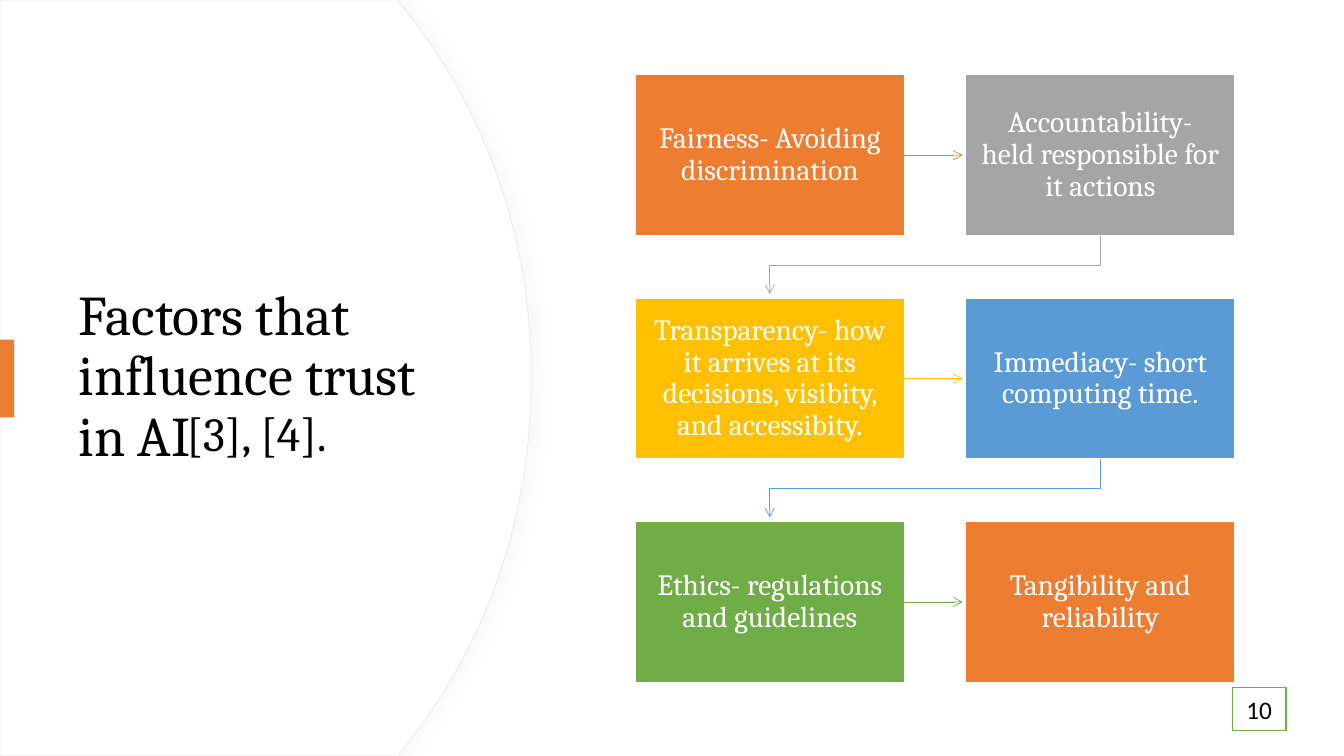
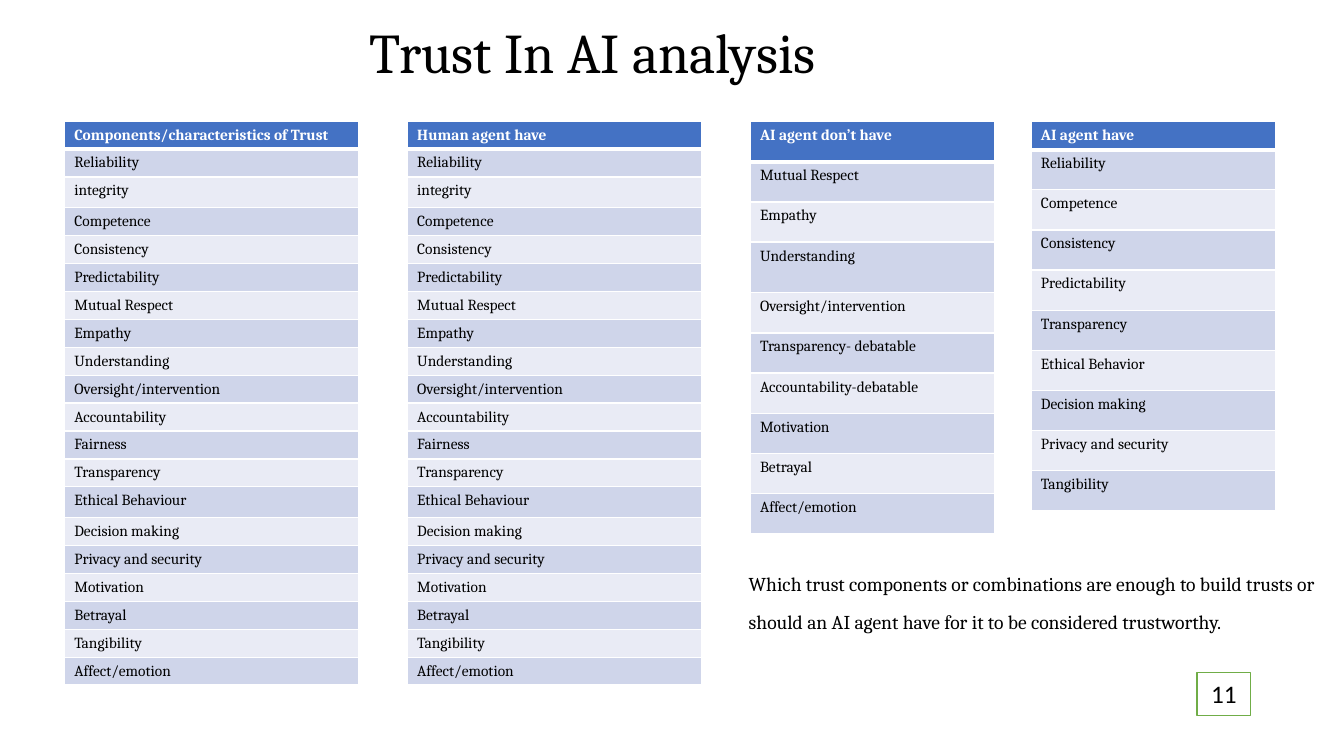
from lxml import etree
from pptx import Presentation
from pptx.dml.color import RGBColor
from pptx.enum.shapes import MSO_CONNECTOR, MSO_SHAPE
from pptx.enum.text import MSO_ANCHOR, MSO_AUTO_SIZE, PP_ALIGN
from pptx.oxml import parse_xml
from pptx.oxml.ns import nsdecls, qn
from pptx.util import Cm, Pt

RECT = MSO_SHAPE.RECTANGLE
STRAIGHT, ELBOW = MSO_CONNECTOR.STRAIGHT, MSO_CONNECTOR.ELBOW
TOP, MIDDLE = MSO_ANCHOR.TOP, MSO_ANCHOR.MIDDLE
LEFT, CENTER = PP_ALIGN.LEFT, PP_ALIGN.CENTER
FIXED = MSO_AUTO_SIZE.NONE
TITLE_ONLY = 5

WHITE, BLACK = "FFFFFF", "000000"
ORANGE, GRAY, GOLD = "ED7D31", "A5A5A5", "FFC000"
SKY, GREEN = "5B9BD5", "70AD47"
HEAD, BANDS = "4472C4", ("CFD5EA", "E9EBF5")
SERIF, SANS = "Cambria", "Calibri"

FACTORS = [
    ("Fairness- Avoiding discrimination", ORANGE),
    ("Accountability- held responsible for it actions", GRAY),
    ("Transparency- how it arrives at its decisions, visibity, and accessibity.", GOLD),
    ("Immediacy- short computing time.", SKY),
    ("Ethics- regulations and guidelines", GREEN),
    ("Tangibility and reliability", ORANGE),
]
TRAITS = [
    "Reliability", "integrity", "Competence", "Consistency", "Predictability",
    "Mutual Respect", "Empathy", "Understanding", "Oversight/intervention",
    "Accountability", "Fairness", "Transparency", "Ethical Behaviour",
    "Decision making", "Privacy and security", "Motivation", "Betrayal",
    "Tangibility", "Affect/emotion",
]
LACKS = [
    "Mutual Respect", "Empathy", "Understanding", "Oversight/intervention",
    "Transparency- debatable", "Accountability-debatable", "Motivation",
    "Betrayal", "Affect/emotion",
]
HAS = [
    "Reliability", "Competence", "Consistency", "Predictability", "Transparency",
    "Ethical Behavior", "Decision making", "Privacy and security", "Tangibility",
]


def rgb(code):
    return RGBColor.from_string(code)


def cms(*sizes):
    return [Cm(size) for size in sizes]


def write(frame, text, size=18, color=BLACK, font=SERIF, bold=False,
          align=LEFT, anchor=TOP, spacing=1.0):
    frame.word_wrap = True
    frame.vertical_anchor = anchor
    para = frame.paragraphs[0]
    para.alignment = align
    para.line_spacing = spacing
    run = para.add_run()
    run.text = text
    run.font.size, run.font.name, run.font.bold = Pt(size), font, bold
    run.font.color.rgb = rgb(color)


def paint(shape, fill, line=None, width=1):
    shape.shadow.inherit = False
    shape.fill.solid()
    shape.fill.fore_color.rgb = rgb(fill)
    if line:
        shape.line.color.rgb = rgb(line)
        shape.line.width = Pt(width)
    else:
        shape.line.fill.background()


def edge(cell, base):
    """Give a cell white borders, with the bottom one base points wide."""
    props = cell._tc.get_or_add_tcPr()
    for spot, (side, width) in enumerate(zip("LRTB", (1, 1, 1, base))):
        props.insert(spot, parse_xml(
            f'<a:ln{side} {nsdecls("a")} w="{Pt(width)}"><a:solidFill>'
            f'<a:srgbClr val="{WHITE}"/></a:solidFill></a:ln{side}>'))


def curve(ends, steps=40):
    """Return points on the cubic Bezier through four control points."""
    for step in range(steps + 1):
        t = step / steps
        parts = ((1 - t) ** 3, 3 * t * (1 - t) ** 2, 3 * t * t * (1 - t), t ** 3)
        yield tuple(Cm(sum(p * end[axis] for p, end in zip(parts, ends)))
                    for axis in (0, 1))


class Deck:
    """Holds the presentation, its style and the current slide."""

    wide, high = 33.87, 19.05

    def __init__(self):
        self.prs = Presentation()
        self.prs.slide_width, self.prs.slide_height = cms(self.wide, self.high)

    def start(self):
        layout = self.prs.slide_layouts[TITLE_ONLY]
        self.slide = self.prs.slides.add_slide(layout)
        self.shapes = self.slide.shapes

    def title(self, text, left, top, width, height, **style):
        shape = self.shapes.title
        shape.left, shape.top, shape.width, shape.height = cms(left, top, width, height)
        shape.text_frame.auto_size = FIXED
        write(shape.text_frame, text, size=40, **style)

    def note(self, text, *place, **style):
        shape = self.shapes.add_textbox(*cms(*place))
        write(shape.text_frame, text, **style)

    def rect(self, *place, fill, line=None):
        shape = self.shapes.add_shape(RECT, *cms(*place))
        paint(shape, fill, line)
        return shape

    def box(self, text, *place, fill):
        frame = self.rect(*place, fill=fill, line=WHITE).text_frame
        frame.margin_left = frame.margin_right = Cm(0.33)
        frame.margin_top = frame.margin_bottom = Cm(0.36)
        write(frame, text, size=21, color=WHITE, align=CENTER, anchor=MIDDLE, spacing=0.9)

    def badge(self, text, left, top):
        shape = self.rect(left, top, 1.35, 1.09, fill=WHITE, line=GREEN)
        write(shape.text_frame, text, font=SANS, align=CENTER, anchor=MIDDLE)

    def arrow(self, x, y, x2, y2, color):
        """Draw an arrow; one that drops leaves and arrives vertically."""
        drop = y2 != y
        if drop:
            # A quarter turn about the centre swaps the two spans.
            midx, midy = (x + x2) / 2, (y + y2) / 2
            halfx, halfy = (y2 - y) / 2, (x - x2) / 2
            x, x2, y, y2 = midx - halfx, midx + halfx, midy - halfy, midy + halfy
        line = self.shapes.add_connector(ELBOW if drop else STRAIGHT, *cms(x, y, x2, y2))
        line.line.color.rgb = rgb(color)
        line.line.width = Pt(0.5)
        props = line.element.spPr
        if drop:
            props.find(qn("a:xfrm")).set("rot", "5400000")
        etree.SubElement(props.find(qn("a:ln")), qn("a:tailEnd"), type="arrow")
        etree.SubElement(props, qn("a:effectLst"))

    def panel(self):
        """Draw the white panel, bulging right, behind everything else."""
        half = self.high / 2
        upper = list(curve([(10.01, 0), (12.17, 2.59), (13.39, 5.89), (13.39, half)]))
        lower = [(x, Cm(self.high) - y) for x, y in reversed(upper)]
        pen = self.shapes.build_freeform(0, 0)
        pen.add_line_segments(upper + lower + [(0, Cm(self.high))], close=True)
        shape = pen.convert_to_shape()
        paint(shape, WHITE, "EFEFEF", 0.75)
        shape.element.spPr.find(qn("a:effectLst")).append(parse_xml(
            f'<a:outerShdw {nsdecls("a")} blurRad="{Pt(10)}" dist="{Pt(3)}" dir="0">'
            '<a:srgbClr val="D9D9D9"><a:alpha val="20000"/></a:srgbClr></a:outerShdw>'))
        self.shapes.title.element.addprevious(shape.element)

    def table(self, head, items, left, top, width, heights):
        rows = [head, *items]
        grid = self.shapes.add_table(
            len(rows), 1, *cms(left, top, width, sum(heights))).table
        for i, (text, height) in enumerate(zip(rows, heights)):
            first = i == 0
            grid.rows[i].height = Cm(height)
            cell = grid.cell(i, 0)
            cell.fill.solid()
            cell.fill.fore_color.rgb = rgb(HEAD if first else BANDS[(i - 1) % 2])
            edge(cell, 3 if first else 1)
            write(cell.text_frame, text, size=11, bold=first,
                  color=WHITE if first else BLACK)


def factors(deck):
    deck.start()
    deck.panel()
    deck.title("Factors that influence trust in AI", 1.73, 3.23, 10.01, 12.57,
               anchor=MIDDLE, spacing=0.9)
    deck.rect(0, 8.56, 0.36, 1.96, fill=ORANGE)
    width, height, reach = 6.78, 4.06, 1.47
    stepx, stepy = 8.33, 5.63
    for i, (text, color) in enumerate(FACTORS):
        row, col = divmod(i, 2)
        left, top = 16.01 + col * stepx, 1.88 + row * stepy
        deck.box(text, left, top, width, height, fill=color)
        right, base = left + width, top + height
        if col == 0:
            deck.arrow(right, top + height / 2, right + reach, top + height / 2, color)
        elif i < len(FACTORS) - 1:
            center = left + width / 2
            deck.arrow(center, base, center - stepx, base + reach, color)
    deck.note("[3], [4].", 4.45, 10.31, 4.45, 1.45, size=34, anchor=MIDDLE, spacing=0.8)
    deck.badge("10", 31.06, 17.32)


def analysis(deck):
    deck.start()
    deck.title("Trust In AI analysis", 9.07, 0.31, 17.15, 1.96)
    small, tall, large = 0.7, 0.77, 1.01
    dense = [small] + [tall if t in ("integrity", "Ethical Behaviour") else small
                       for t in TRAITS]
    loose = [large] + [1.28 if t == "Understanding" else large for t in LACKS]
    deck.table("Components/characteristics of Trust", TRAITS, 1.62, 3.05, 7.42, dense)
    deck.table("Human agent have", TRAITS, 10.26, 3.05, 7.42, dense)
    deck.table("AI agent don’t have", LACKS, 18.9, 3.07, 6.16, loose)
    deck.table("AI agent have", HAS, 25.98, 3.07, 6.16, [small] + [large] * len(HAS))
    deck.note("Which trust components or combinations are enough to build trusts or "
              "should an AI agent have for it to be considered trustworthy.",
              18.62, 13.94, 15.24, 2.06, size=14, spacing=1.6)
    deck.badge("11", 30.17, 16.94)


def main():
    deck = Deck()
    factors(deck)
    analysis(deck)
    deck.prs.save("out.pptx")


if __name__ == "__main__":
    main()
